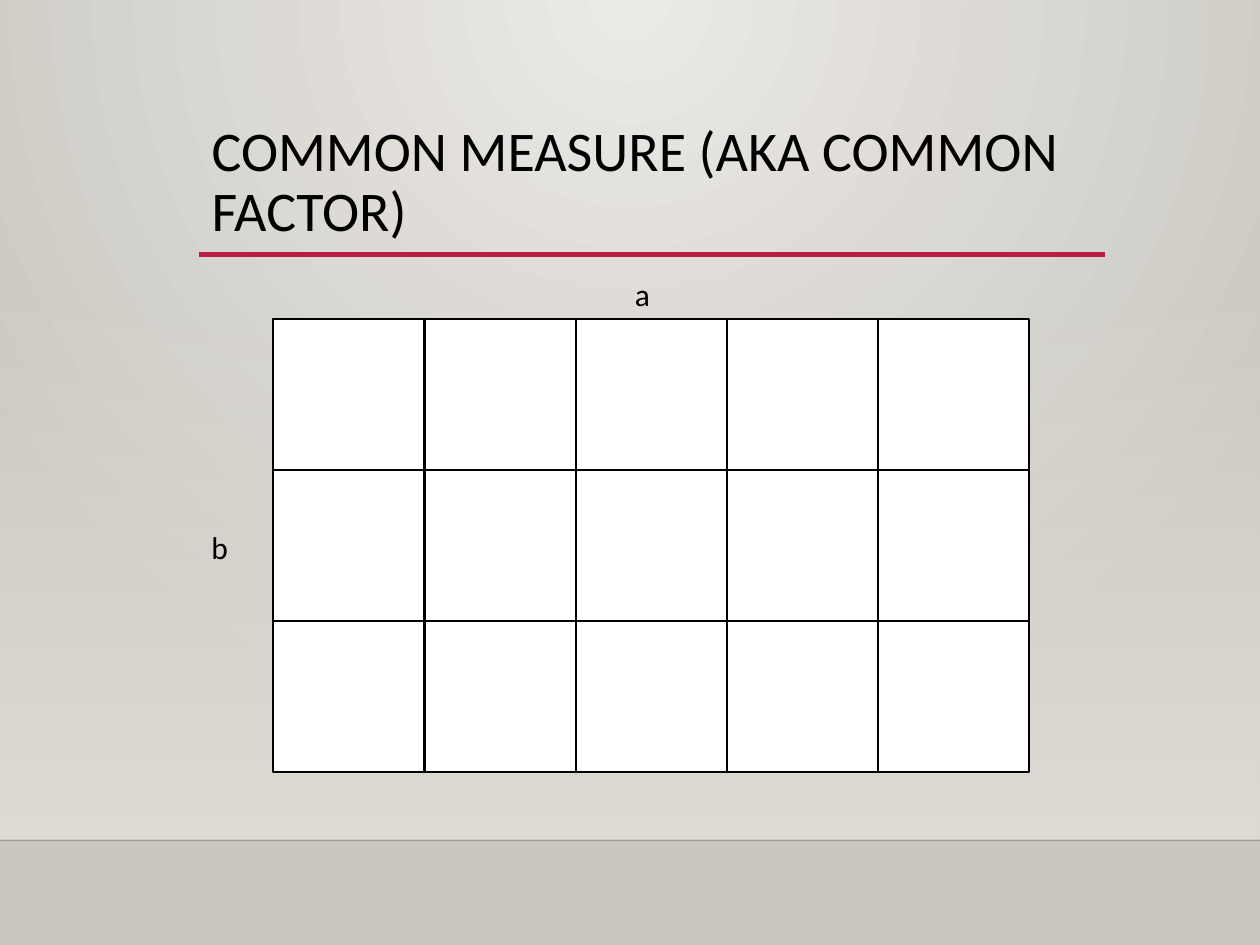
from itertools import product

from pptx import Presentation
from pptx.dml.color import RGBColor
from pptx.enum.shapes import MSO_CONNECTOR, MSO_SHAPE
from pptx.enum.text import MSO_ANCHOR, MSO_AUTO_SIZE, PP_ALIGN
from pptx.oxml.ns import qn
from pptx.oxml.xmlchemy import OxmlElement
from pptx.util import Inches, Pt

FONT = "Calibri"
BLACK = "000000"
COLUMNS, ROWS = 5, 3
SQUARE = 1.2
GRID_LEFT, GRID_TOP = 2.17, 2.53


def paint(color_format, hex_color):
    """Set a colour format from a hex string."""
    color_format.rgb = RGBColor.from_string(hex_color)


def set_alpha(element, percent):
    """Make the first colour inside an element partly transparent."""
    alpha = OxmlElement("a:alpha")
    alpha.set("val", str(percent * 1000))
    next(element.iter(qn("a:srgbClr"))).append(alpha)


def fill_gradient(fill, start, end):
    """Fill with a two-stop gradient."""
    fill.gradient()
    for stop, position, hex_color in zip(fill.gradient_stops, (0, 1), (start, end)):
        stop.position = position
        paint(stop.color, hex_color)


def add_background(slide):
    """Give the slide a circular gradient centred on its top edge."""
    fill_gradient(slide.background.fill, "ECEAE7", "CAC7C1")
    gradient = next(slide.element.iter(qn("a:gradFill")))
    gradient.remove(gradient.find(qn("a:lin")))
    circle = OxmlElement("a:path")
    circle.set("path", "circle")
    focus = OxmlElement("a:fillToRect")
    for side, percent in (("l", 43), ("t", 0), ("r", 43), ("b", 100)):
        focus.set(side, str(percent * 1000))
    circle.append(focus)
    gradient.find(qn("a:gsLst")).addnext(circle)


def add_rectangle(slide, left, top, width, height):
    """Add a rectangle without shadow."""
    rectangle = slide.shapes.add_shape(
        MSO_SHAPE.RECTANGLE, Inches(left), Inches(top), Inches(width), Inches(height)
    )
    rectangle.shadow.inherit = False
    return rectangle


def add_wall(slide):
    """Add the wall shade that fades in towards the floor."""
    wall = add_rectangle(slide, 0, 2.2, 10, 4.46)
    fill_gradient(wall.fill, "DFDBD5", "DFDBD5")
    wall.fill.gradient_angle = 270
    set_alpha(wall.element, 0)
    wall.line.fill.background()


def add_rule(slide, left, right, y, hex_color, weight):
    """Add a horizontal line without shadow."""
    rule = slide.shapes.add_connector(
        MSO_CONNECTOR.STRAIGHT, Inches(left), Inches(y), Inches(right), Inches(y)
    )
    paint(rule.line.color, hex_color)
    rule.line.width = Pt(weight)
    rule.element.spPr.append(OxmlElement("a:effectLst"))
    return rule


def format_text(paragraph, size):
    """Set the font of every run in a paragraph."""
    for run in paragraph.runs:
        run.font.name = FONT
        run.font.size = Pt(size)
        paint(run.font.color, BLACK)


def add_title(slide, text):
    """Place and format the title."""
    title = slide.shapes.title
    title.left, title.top = Inches(1.58), Inches(0.88)
    title.width, title.height = Inches(7.19), Inches(1.15)
    frame = title.text_frame
    frame.text = text
    frame.auto_size = MSO_AUTO_SIZE.NONE
    frame.vertical_anchor = MSO_ANCHOR.MIDDLE
    heading = frame.paragraphs[0]
    heading.alignment = PP_ALIGN.LEFT
    heading.line_spacing = 0.9
    format_text(heading, 32)


def add_side_label(slide, text, left, top, width):
    """Add the letter that names one side of the grid."""
    label = slide.shapes.add_textbox(
        Inches(left), Inches(top), Inches(width), Inches(0.4)
    )
    frame = label.text_frame
    frame.text = text
    frame.word_wrap = False
    frame.auto_size = MSO_AUTO_SIZE.SHAPE_TO_FIT_TEXT
    format_text(frame.paragraphs[0], 18)


def add_unit_square(slide, row, column):
    """Add one square of the common measure."""
    square = add_rectangle(
        slide, GRID_LEFT + column * SQUARE, GRID_TOP + row * SQUARE, SQUARE, SQUARE
    )
    square.fill.solid()
    paint(square.fill.fore_color, "FFFFFF")
    paint(square.line.color, BLACK)
    square.line.width = Pt(1.25)


def main():
    """Build the slide and save it."""
    presentation = Presentation()
    presentation.slide_width, presentation.slide_height = Inches(10), Inches(7.5)
    slide = presentation.slides.add_slide(presentation.slide_layouts[5])
    add_background(slide)
    add_wall(slide)
    floor_edge = add_rule(slide, 0, 10, 6.67, "000001", 1)
    set_alpha(floor_edge.element, 20)
    add_rule(slide, 1.58, 8.77, 2.02, "B71E42", 2.5)
    add_title(slide, "COMMON MEASURE (AKA COMMON FACTOR)")
    add_side_label(slide, "b", 1.58, 4.14, 0.34)
    add_side_label(slide, "a", 4.94, 2.13, 0.32)
    for row, column in product(range(ROWS), range(COLUMNS)):
        add_unit_square(slide, row, column)
    presentation.save("out.pptx")


if __name__ == "__main__":
    main()
